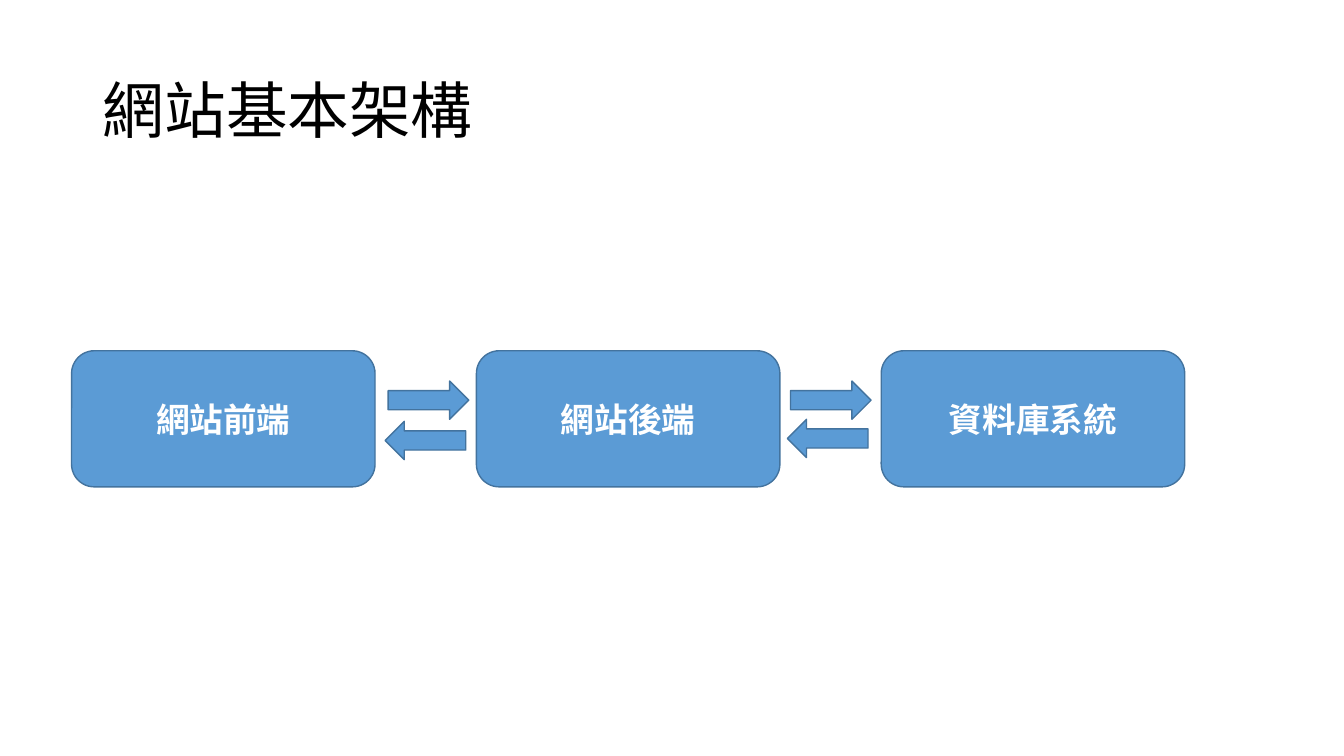
import pptx
import pptx.util
import pptx.dml.color
import pptx.enum.shapes
import pptx.enum.text
import pptx.oxml.ns
import lxml.etree

Inches = pptx.util.Inches
Pt = pptx.util.Pt
Shapes = pptx.enum.shapes.MSO_SHAPE
Align = pptx.enum.text.PP_ALIGN
Anchor = pptx.enum.text.MSO_ANCHOR

COLORS = {"fill": "5B9BD5", "outline": "43739E", "title": "000000", "label": "FFFFFF"}
TIERS = ["網站前端", "網站後端", "資料庫系統"]
TIER_STEP, TIER_WIDTH, TIER_HEIGHT = 4.015, 3.01, 1.35
ARROW_WIDTH, ARROW_HEIGHT = 0.8, 0.38


def rgb(name):
    return pptx.dml.color.RGBColor.from_string(COLORS[name])


def style_text(para, font_name, size, color, bold, align):
    """Format a paragraph, using the same typeface for Latin and East Asian text."""
    para.alignment = align
    font = para.font
    font.name, font.size, font.bold = font_name, Pt(size), bold
    font.color.rgb = rgb(color)
    defaults = para._p.pPr.find(pptx.oxml.ns.qn("a:defRPr"))
    east_asian = lxml.etree.SubElement(defaults, pptx.oxml.ns.qn("a:ea"))
    east_asian.set("typeface", font_name)


def add_blue_shape(page, kind, left, top, width, height):
    shape = page.shapes.add_shape(
        kind, Inches(left), Inches(top), Inches(width), Inches(height))
    shape.shadow.inherit = False
    shape.fill.solid()
    shape.fill.fore_color.rgb = rgb("fill")
    shape.line.color.rgb = rgb("outline")
    shape.line.width = Pt(1)
    return shape


def add_title(page, left, top, width, height):
    title = page.shapes.title
    title.left, title.top = Inches(left), Inches(top)
    title.width, title.height = Inches(width), Inches(height)
    frame = title.text_frame
    frame.text = "網站基本架構"
    frame.vertical_anchor = Anchor.MIDDLE
    para = frame.paragraphs[0]
    para.line_spacing = 0.9
    style_text(para, "Calibri", 44, "title", False, Align.LEFT)


def add_tier(page, label, left, top):
    tier = add_blue_shape(
        page, Shapes.ROUNDED_RECTANGLE, left, top, TIER_WIDTH, TIER_HEIGHT)
    frame = tier.text_frame
    frame.text = label
    frame.vertical_anchor = Anchor.MIDDLE
    style_text(frame.paragraphs[0], "Noto Sans CJK SC", 24, "label", True, Align.CENTER)


def add_exchange(page, left, top, drop):
    """Draw a request arrow with its reply arrow, drop inches lower."""
    add_blue_shape(page, Shapes.RIGHT_ARROW, left + 0.03, top, ARROW_WIDTH, ARROW_HEIGHT)
    add_blue_shape(page, Shapes.LEFT_ARROW, left, top + drop, ARROW_WIDTH, ARROW_HEIGHT)


def add_architecture(page, left, top):
    for index, label in enumerate(TIERS):
        add_tier(page, label, left + index * TIER_STEP, top)
    for offset, drop in [(3.11, 0.4), (7.1, 0.38)]:
        add_exchange(page, left + offset, top + 0.3, drop)


def main():
    deck = pptx.Presentation()
    deck.slide_width, deck.slide_height = Inches(13.33), Inches(7.5)
    page = deck.slides.add_slide(deck.slide_layouts.get_by_name("Title Only"))
    add_title(page, 0.92, 0.4, 11.5, 1.45)
    add_architecture(page, 0.71, 3.48)
    deck.save("out.pptx")


if __name__ == "__main__":
    main()
